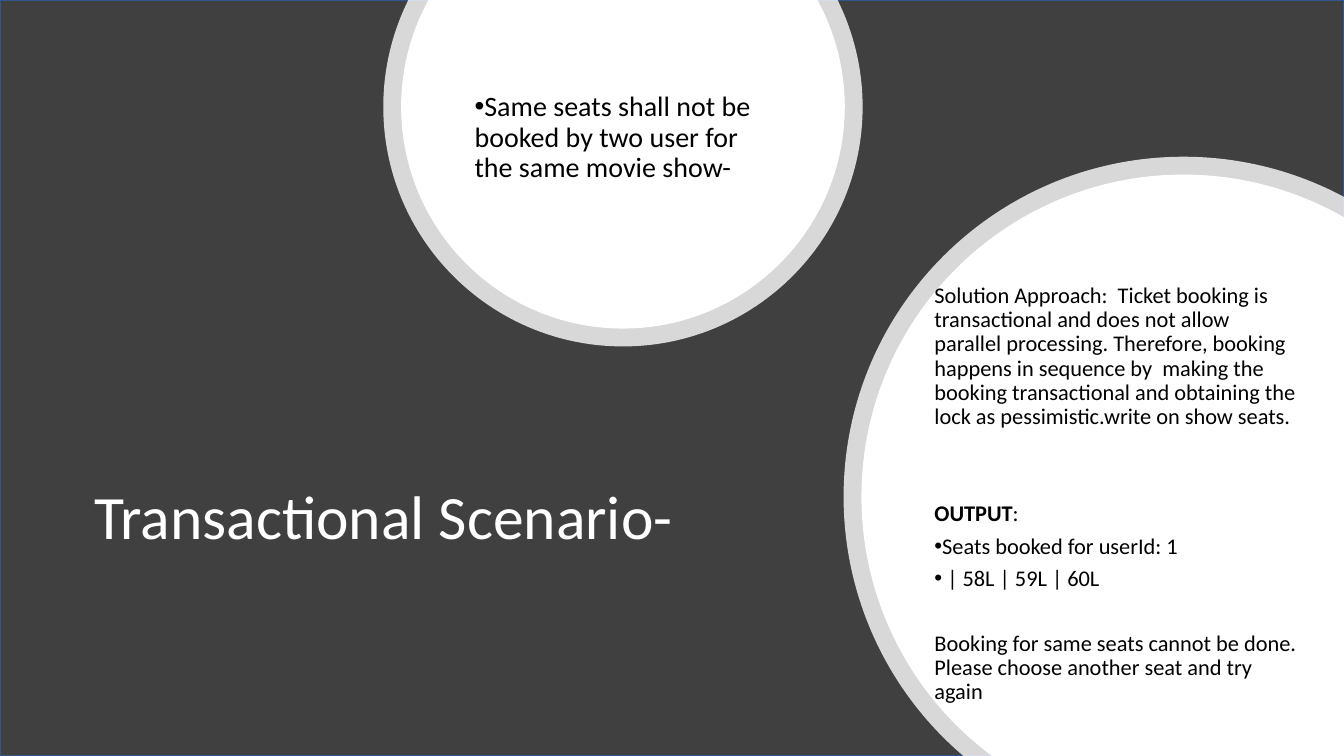
from dataclasses import dataclass
from math import acos, asin, cos, pi, sin, tan

from lxml.etree import SubElement
from pptx import Presentation
from pptx.dml.color import RGBColor as Rgb
from pptx.enum.shapes import MSO_SHAPE as Shape
from pptx.enum.text import MSO_ANCHOR as Anchor
from pptx.oxml.ns import qn
from pptx.util import Cm, Pt

WIDE, HIGH = 33.87, 19.05


@dataclass(frozen=True)
class Theme:
    font: str = "Calibri"
    mark: str = "Arial"
    back: Rgb = Rgb(0x40, 0x40, 0x40)
    edge: Rgb = Rgb(0x32, 0x54, 0x91)
    white: Rgb = Rgb(255, 255, 255)
    ink: Rgb = Rgb(0, 0, 0)
    title: int = 44
    lead: int = 20
    body: int = 16
    ring: int = 80  # opacity in percent


@dataclass
class Para:
    text: str
    bold: str = ""
    dot: bool = False
    before: int = 0
    after: int = 0


class Page:
    def __init__(self, slide, theme):
        self.items = slide.shapes
        self.theme = theme

    def panel(self):
        box = self.items.add_shape(Shape.RECTANGLE, 0, 0, Cm(WIDE), Cm(HIGH))
        box.shadow.inherit = False
        box.fill.solid()
        box.fill.fore_color.rgb = self.theme.back
        box.line.color.rgb = self.theme.edge
        box.line.width = Pt(1)

    def disc(self, x, y, radius, start, end, ends=(), alpha=100):
        """Draw a cut circle: an arc between two angles, then corners."""
        quads = [i * pi / 2 for i in range(5)]
        knots = [start, *(q for q in quads if start < q < end), end]

        def spot(turn, pull=0):
            """Point on the circle, moved along its tangent by pull radii."""
            return (Cm(x + radius * (cos(turn) - pull * sin(turn))),
                    Cm(y + radius * (sin(turn) + pull * cos(turn))))

        dots = [spot(k) for k in knots]
        pen = self.items.build_freeform(*dots[0])
        pen.add_line_segments(
            dots[1:] + [(Cm(a), Cm(b)) for a, b in ends], close=True)
        disc = pen.convert_to_shape()
        lines = list(disc._element.iter(qn("a:lnTo")))
        for line, a, b in zip(lines, knots, knots[1:]):
            pull = 4 / 3 * tan((b - a) / 4)
            curve = line.makeelement(qn("a:cubicBezTo"), {})
            for px, py in (spot(a, pull), spot(b, -pull), spot(b)):
                SubElement(curve, qn("a:pt"),
                           x=str(px - disc.left), y=str(py - disc.top))
            line.getparent().replace(line, curve)

        disc.shadow.inherit = False
        disc.line.fill.background()
        disc.fill.solid()
        disc.fill.fore_color.rgb = self.theme.white
        if alpha < 100:
            tint = disc.fill._xPr.find(qn("a:solidFill"))[0]
            SubElement(tint, qn("a:alpha"), val=str(alpha * 1000))

    def top_disc(self, x, y, radius, alpha=100):
        """Draw a circle cut by the slide's top edge."""
        cut = asin(y / radius)
        self.disc(x, y, radius, -cut, pi + cut, alpha=alpha)

    def side_disc(self, x, y, radius, alpha=100):
        """Draw a circle cut by the slide's right and bottom edges."""
        start = pi - asin((HIGH - y) / radius)
        end = 2 * pi - acos((WIDE - x) / radius)
        self.disc(x, y, radius, start, end, [(WIDE, HIGH)], alpha)

    def text(self, x, y, wide, high, size, color, paras):
        box = self.items.add_textbox(Cm(x), Cm(y), Cm(wide), Cm(high))
        frame = box.text_frame
        frame.word_wrap = True
        frame.vertical_anchor = Anchor.MIDDLE
        for i, para in enumerate(paras):
            line = frame.add_paragraph() if i else frame.paragraphs[0]
            line.line_spacing = 0.9
            line.space_before = Pt(para.before)
            line.space_after = Pt(para.after)
            line.font.name = self.theme.font
            line.font.size = Pt(size)
            line.font.color.rgb = color
            if para.dot:
                self.bullet(line)
            if para.bold:
                run = line.add_run()
                run.text = para.bold
                run.font.bold = True
            line.add_run().text = para.text

    def bullet(self, line):
        prop = line._p.get_or_add_pPr()
        prop.set("marL", "0")
        prop.set("indent", str(-Cm(0.64)))
        last = prop.find(qn("a:defRPr"))
        for tag, spot in (("a:buFont", {"typeface": self.theme.mark}),
                          ("a:buChar", {"char": "•"})):
            last.addprevious(prop.makeelement(qn(tag), spot))


def main():
    deck = Presentation()
    deck.slide_width, deck.slide_height = Cm(WIDE), Cm(HIGH)
    theme = Theme()
    page = Page(deck.slides.add_slide(deck.slide_layouts[6]), theme)

    page.panel()
    page.text(2.13, 9.73, 16.81, 6.73, theme.title, theme.white,
              [Para("Transactional Scenario-")])

    page.top_disc(15.7, 2.69, 6.04, theme.ring)
    page.side_disc(29.83, 12.52, 8.57, theme.ring)
    page.top_disc(15.7, 2.69, 5.59)
    page.text(11.71, 0.99, 8, 4.98, theme.lead, theme.ink, [
        Para("Same seats shall not be booked by two user for the same "
             "movie show-", dot=True, before=10)])

    page.side_disc(29.83, 12.52, 8.12)
    page.text(23.3, 8.74, 9.65, 7.44, theme.body, theme.ink, [
        Para("Solution Approach:  Ticket booking is transactional and does "
             "not allow parallel processing. Therefore, booking happens in "
             "sequence by  making the booking transactional and obtaining "
             "the lock as pessimistic.write on show seats.", after=6),
        Para(":", bold="OUTPUT", before=46, after=6),
        Para("Seats booked for userId: 1", dot=True, after=6),
        Para(" | 58L | 59L | 60L", dot=True, after=6),
        Para("Booking for same seats cannot be done. Please choose another "
             "seat and try again", before=23, after=6)])

    deck.save("out.pptx")


if __name__ == "__main__":
    main()
